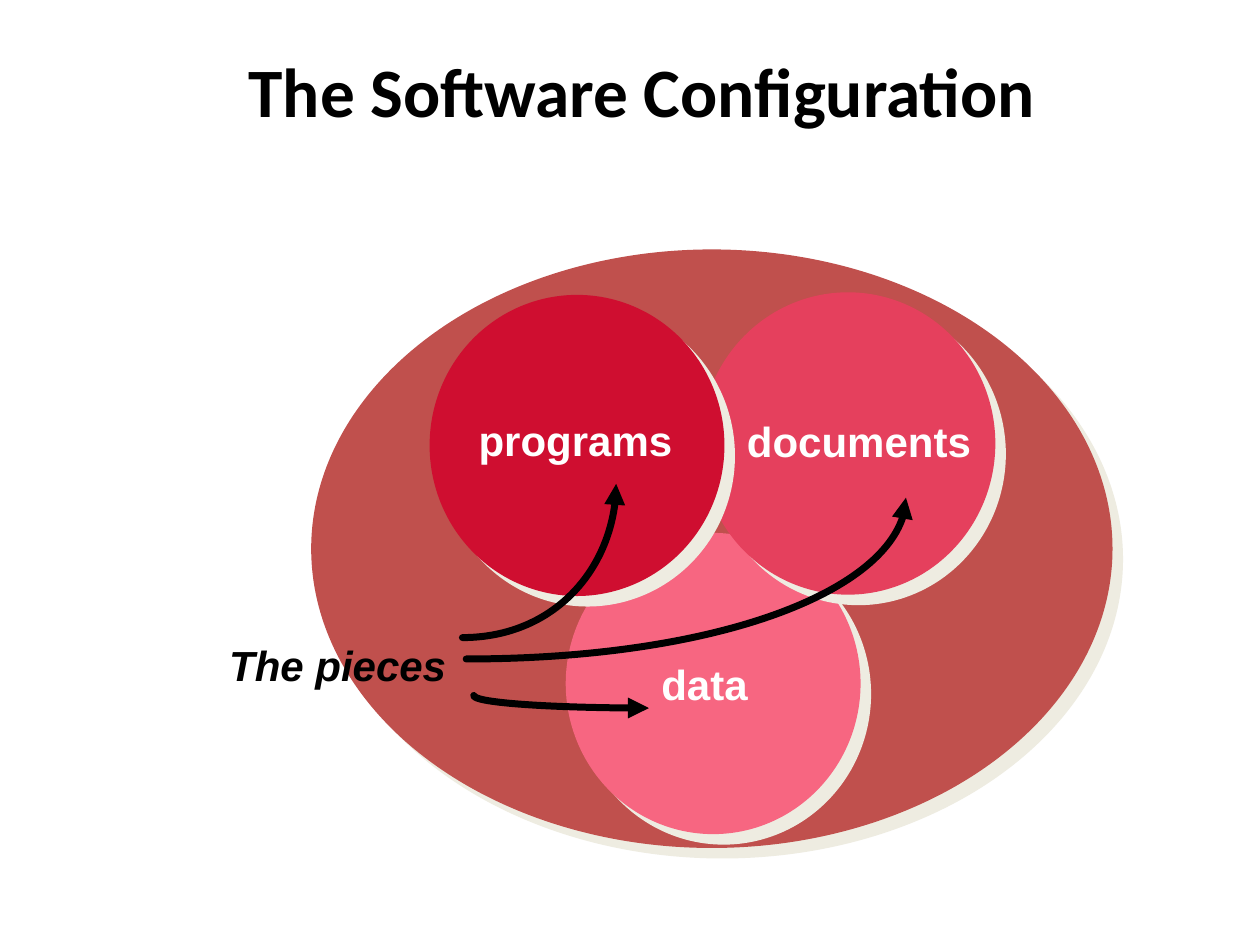
from lxml import etree
from pptx import Presentation
from pptx import util as u
from pptx.dml.color import RGBColor
from pptx.enum import shapes, text
from pptx.oxml import ns

CREAM = "EEECE1"
WHITE = "FFFFFF"
BLACK = "000000"
ROUNDNESS = 0.55


def colour(value):
    return RGBColor.from_string(value)


def add_circle(page, left, top, width, height, fill):
    circle = page.shapes.add_shape(
        shapes.MSO_SHAPE.OVAL, *map(u.Inches, (left, top, width, height)))
    circle.fill.solid()
    circle.fill.fore_color.rgb = colour(fill)
    circle.line.fill.background()
    circle.shadow.inherit = False
    effects = circle.element.spPr.find(ns.qn("a:effectLst"))
    shadow = etree.SubElement(
        effects, ns.qn("a:outerShdw"), dist=str(u.Pt(8.5)), dir="2700000",
        algn="ctr", rotWithShape="0")
    etree.SubElement(shadow, ns.qn("a:srgbClr"), val=CREAM)


def add_text(page, wording, left, top, width, height, size, font, fill):
    box = page.shapes.add_textbox(*map(u.Inches, (left, top, width, height)))
    box.text_frame.text = wording
    span = box.text_frame.paragraphs[0].runs[0].font
    span.size = u.Pt(size)
    span.name = font
    span.bold = True
    span.color.rgb = colour(fill)
    return box.text_frame


def add_title(page, wording):
    frame = add_text(page, wording, 1.33, 0.42, 7.53, 0.59, 39.6, "Calibri", BLACK)
    frame.word_wrap = True
    frame.vertical_anchor = text.MSO_ANCHOR.MIDDLE
    frame.paragraphs[0].alignment = text.PP_ALIGN.CENTER


def add_label(page, wording, left, top, width, fill=WHITE):
    frame = add_text(page, wording, left, top, width, 0.5, 24, "Arial", fill)
    frame.word_wrap = False
    frame.auto_size = text.MSO_AUTO_SIZE.SHAPE_TO_FIT_TEXT
    return frame


def toward(point, target):
    return tuple(a + ROUNDNESS * (b - a) for a, b in zip(point, target))


def add_curved_arrow(page, tip, corner, tail):
    points = [tuple(map(u.Inches, point)) for point in (
        tip, toward(tip, corner), toward(tail, corner), tail)]
    builder = page.shapes.build_freeform(*points[0])
    builder.add_line_segments(points[1:], close=False)
    arrow = builder.convert_to_shape()
    segments = list(arrow.element.iter(ns.qn("a:lnTo")))
    curve = etree.SubElement(segments[0].getparent(), ns.qn("a:cubicBezTo"))
    for segment in segments:
        curve.append(segment[0])
        segment.getparent().remove(segment)
    arrow.shadow.inherit = False
    arrow.fill.background()
    arrow.line.color.rgb = colour(BLACK)
    arrow.line.width = u.Pt(4)
    line = arrow.element.spPr.find(ns.qn("a:ln"))
    line.set("cap", "rnd")
    etree.SubElement(line, ns.qn("a:round"))
    etree.SubElement(line, ns.qn("a:headEnd"), type="triangle")


def main():
    deck = Presentation()
    deck.slide_width, deck.slide_height = u.Inches(10), u.Inches(7.5)
    page = deck.slides.add_slide(deck.slide_layouts[6])

    add_title(page, "The Software Configuration")

    for circle in (
        (2.47, 1.98, 6.36, 4.75, "C0504D"),
        (4.49, 4.23, 2.34, 2.39, "F76681"),
        (5.56, 2.32, 2.34, 2.4, "E5405D"),
        (3.41, 2.34, 2.34, 2.39, "CF0E30"),
    ):
        add_circle(page, *circle)

    for label in (
        ("programs", 3.7, 3.24, 1.74),
        ("documents", 5.83, 3.25, 1.98),
        ("data", 5.15, 5.18, 0.89),
    ):
        add_label(page, *label)
    pieces = add_label(page, "The pieces", 1.72, 5.03, 1.92, BLACK)
    pieces.paragraphs[0].runs[0].font.italic = True

    for arrow in (
        ((5.15, 5.62), (3.76, 5.62), (3.76, 5.52)),
        ((7.19, 3.95), (7.19, 5.23), (3.7, 5.23)),
        ((4.89, 3.84), (4.89, 5.06), (3.67, 5.06)),
    ):
        add_curved_arrow(page, *arrow)

    deck.save("out.pptx")


main()
